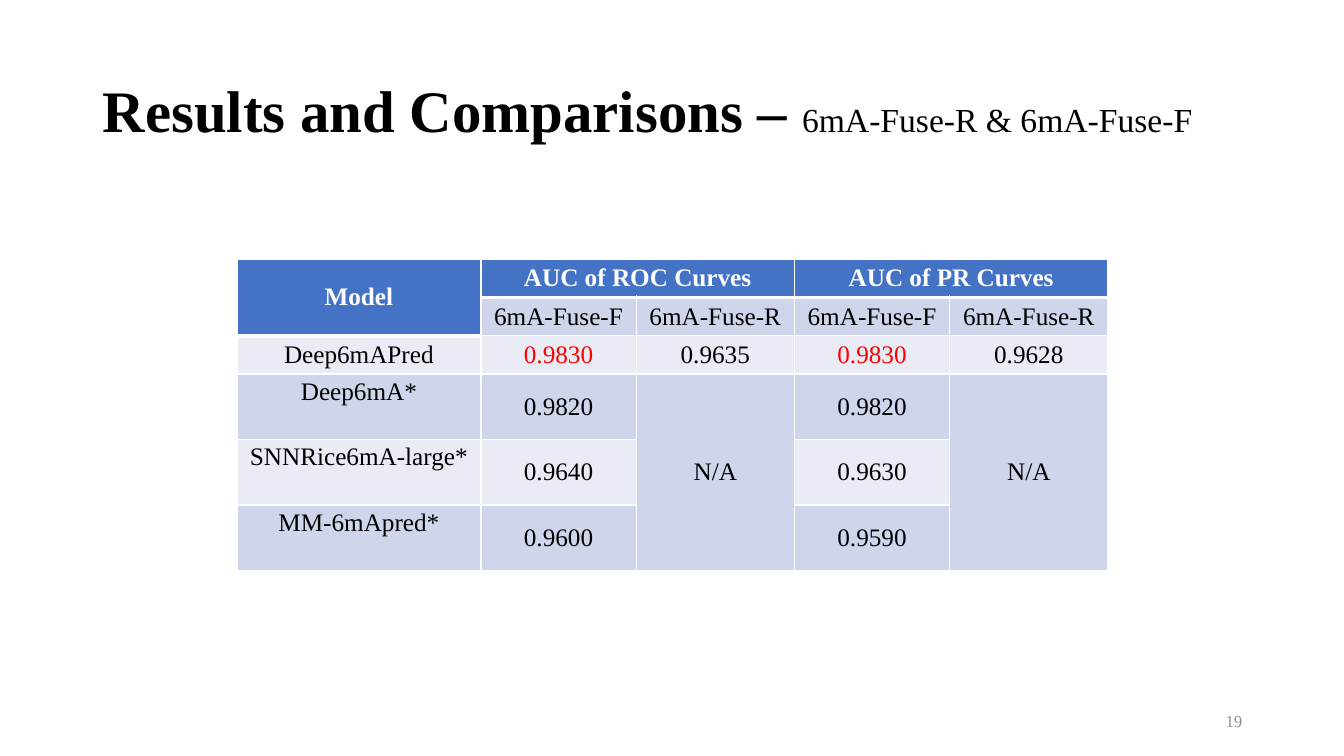
from lxml import etree
from pptx import Presentation
from pptx import util as u
from pptx.dml.color import RGBColor
from pptx.enum import text
from pptx.oxml import ns

FONT = "Times New Roman"
BLACK = RGBColor(0x00, 0x00, 0x00)
WHITE = RGBColor(0xFF, 0xFF, 0xFF)
GREY = RGBColor(0x8C, 0x8C, 0x8C)
RED = RGBColor(0xFF, 0x00, 0x00)
HEADER_BLUE = RGBColor(0x44, 0x72, 0xC4)
BANDS = (RGBColor(0xE9, 0xEB, 0xF5), RGBColor(0xCF, 0xD5, 0xEA))

SCORES = (
    ("Model", "AUC of ROC Curves", "", "AUC of PR Curves", ""),
    ("", "6mA-Fuse-F", "6mA-Fuse-R", "6mA-Fuse-F", "6mA-Fuse-R"),
    ("Deep6mAPred", "0.9830", "0.9635", "0.9830", "0.9628"),
    ("Deep6mA*", "0.9820", "N/A", "0.9820", "N/A"),
    ("SNNRice6mA-large*", "0.9640", "", "0.9630", ""),
    ("MM-6mApred*", "0.9600", "", "0.9590", ""),
)
BEST_SCORE = "0.9830"
# First and last (row, column) of every merged area
MERGES = (
    ((0, 0), (1, 0)),
    ((0, 1), (0, 2)),
    ((0, 3), (0, 4)),
    ((3, 2), (5, 2)),
    ((3, 4), (5, 4)),
)
COLUMN_WIDTHS = (2.42, 1.54, 1.57, 1.54, 1.57)
ROW_HEIGHTS = (0.37, 0.38, 0.38, 0.65, 0.65, 0.65)


def add_run(paragraph, words, size, color, bold=False):
    run = paragraph.add_run()
    run.text = words
    formats = {"name": FONT, "size": u.Pt(size), "bold": bold}
    for name, value in formats.items():
        setattr(run.font, name, value)
    run.font.color.rgb = color


def add_text_line(slide, box, align, runs):
    frame = slide.shapes.add_textbox(*map(u.Inches, box)).text_frame
    frame.word_wrap = True
    frame.vertical_anchor = text.MSO_ANCHOR.MIDDLE
    line = frame.paragraphs[0]
    line.alignment = align
    for run in runs:
        add_run(line, *run)
    return line


def add_title(slide, box):
    title = add_text_line(slide, box, text.PP_ALIGN.LEFT, (
        ("Results and Comparisons – ", 42, BLACK, True),
        ("6mA-Fuse-R & 6mA-Fuse-F", 24, BLACK),
    ))
    title.line_spacing = 0.9


def add_page_number(slide, box):
    add_text_line(slide, box, text.PP_ALIGN.RIGHT, [("19", 12, GREY)])


def set_borders(cell, widths):
    """Draw white edges; the lines come before the fill in the cell's XML."""
    properties = cell._tc.get_or_add_tcPr()
    for place, (edge, width) in enumerate(widths.items()):
        line = etree.Element(ns.qn(f"a:ln{edge}"), w=str(u.Pt(width)))
        fill = etree.SubElement(line, ns.qn("a:solidFill"))
        etree.SubElement(fill, ns.qn("a:srgbClr"), val=str(WHITE))
        properties.insert(place, line)


def format_cell(cell, row, column, words):
    is_header = row == 0 or (row == 1 and column == 0)
    is_model_name = row >= 3 and column == 0
    margins = {
        "margin_left": 0.07,
        "margin_right": 0.07,
        "margin_top": 0.04,
        "margin_bottom": 0.04,
    }
    for name, value in margins.items():
        setattr(cell, name, u.Inches(value))
    anchors = text.MSO_ANCHOR
    cell.vertical_anchor = anchors.TOP if is_model_name else anchors.MIDDLE
    cell.fill.solid()
    cell.fill.fore_color.rgb = HEADER_BLUE if is_header else BANDS[row % 2]

    # A thick line closes the header, under "Model" one row lower
    header_end = 1 if column == 0 else 0
    set_borders(cell, {
        "L": 1,
        "R": 1,
        "T": 3 if row == header_end + 1 else 1,
        "B": 3 if row == header_end else 1,
    })

    line = cell.text_frame.paragraphs[0]
    line.alignment = text.PP_ALIGN.CENTER
    if words:
        color = WHITE if is_header else RED if words == BEST_SCORE else BLACK
        add_run(line, words, 18, color, is_header)


def add_score_table(slide, left, top):
    box = (left, top, sum(COLUMN_WIDTHS), sum(ROW_HEIGHTS))
    table = slide.shapes.add_table(
        len(ROW_HEIGHTS), len(COLUMN_WIDTHS), *map(u.Inches, box)
    ).table
    for column, width in zip(table.columns, COLUMN_WIDTHS):
        column.width = u.Inches(width)
    for row, height in zip(table.rows, ROW_HEIGHTS):
        row.height = u.Inches(height)
    for first, last in MERGES:
        table.cell(*first).merge(table.cell(*last))
    for row, entries in enumerate(SCORES):
        for column, words in enumerate(entries):
            format_cell(table.cell(row, column), row, column, words)


def main():
    deck = Presentation()
    deck.slide_width = u.Inches(13.33)
    deck.slide_height = u.Inches(7.5)
    slide = deck.slides.add_slide(deck.slide_layouts[6])
    add_title(slide, (0.92, 0.4, 11.5, 1.45))
    add_score_table(slide, 2.35, 2.57)
    add_page_number(slide, (9.42, 6.95, 3, 0.4))
    deck.save("out.pptx")


if __name__ == "__main__":
    main()
